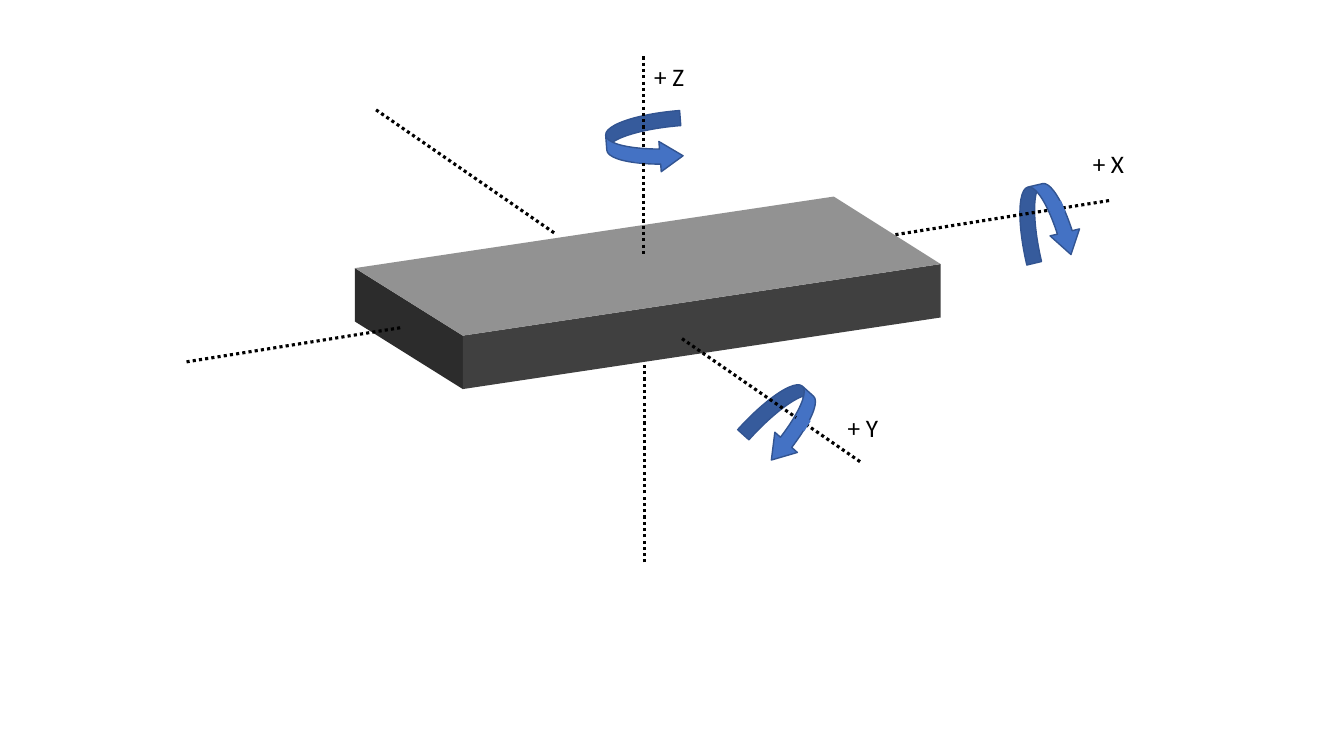
from dataclasses import dataclass
from lxml import etree
from pptx import Presentation
from pptx.dml.color import RGBColor
from pptx.enum import dml, shapes, text
from pptx.oxml import ns
from pptx.util import Inches, Pt


@dataclass(frozen=True)
class Theme:
    font: str = "Calibri"
    label_size: float = 18
    axis_width: float = 2.25
    ink: str = "000000"
    arrow: str = "4472C4"
    arrow_edge: str = "325491"
    top_face: str = "929292"
    front_face: str = "404040"
    side_face: str = "2C2C2C"


@dataclass(frozen=True)
class Axis:
    label: str
    arm: tuple       # vector of each dotted arm
    positive: tuple  # inner end of the positive arm
    negative: tuple  # inner end of the negative arm
    label_at: tuple
    arrow_at: tuple
    arrow_turn: float
    mask_at: tuple
    mask_turn: float
    flipped: bool = False


THEME = Theme()
ARROW_SIZE = (0.6, 0.75)
MASK_SIZE = (0.14, 0.12)
LABEL_SIZE = (0.6, 0.4)
SLAB_HEIGHT = 0.53
DIAGRAM_BOX = (1.85, 0.56)  # left and top of the diagram

AXES = [
    Axis("+ X", (2.13, -0.34), (7.02, 1.77), (2.13, 2.69), (8.89, 0.86),
         (8.24, 1.26), 346.7, (8.56, 1.45), 337.6),
    Axis("+ Y", (1.78, 1.23), (4.9, 2.79), (3.66, 1.76), (6.46, 3.48),
         (5.64, 3.25), 42, (6.03, 3.57), 32.3),
    Axis("+ Z", (0, -1.99), (4.53, 1.99), (4.54, 3.03), (4.54, 0),
         (4.24, 0.49), 85.6, (4.45, 0.93), 0, flipped=True),
]


def shifted(point, offset, sign=1):
    return tuple(p + sign * o for p, o in zip(point, offset))


def lengths(*values):
    return [Inches(value) for value in values]


def paint(shape, fill, edge=None):
    shape.shadow.inherit = False
    shape.fill.solid()
    shape.fill.fore_color.rgb = RGBColor.from_string(fill)
    if edge:
        shape.line.color.rgb = RGBColor.from_string(edge)
        shape.line.width = Pt(1)
    else:
        shape.line.fill.background()


def draw_slab(slide, box):
    """Draw the three visible faces of the slab."""
    left, back, right, front = [
        shifted(box, corner)
        for corner in [(1.67, 2.1), (6.42, 1.39), (7.48, 2.06), (2.74, 2.77)]]
    low_left, low_front, low_right = [
        shifted(corner, (0, SLAB_HEIGHT)) for corner in (left, front, right)]
    faces = [
        (THEME.side_face, [left, front, low_front, low_left]),
        (THEME.front_face, [front, right, low_right, low_front]),
        (THEME.top_face, [left, back, right, front]),
    ]
    for color, corners in faces:
        outline = [lengths(*corner) for corner in corners]
        builder = slide.shapes.build_freeform(*outline[0])
        builder.add_line_segments(outline[1:])
        paint(builder.convert_to_shape(), color)


def draw_arm(slide, inner, outer):
    arm = slide.shapes.add_connector(
        shapes.MSO_CONNECTOR.STRAIGHT, *lengths(*outer, *inner))
    arm.line.color.rgb = RGBColor.from_string(THEME.ink)
    line_format = {"width": Pt(THEME.axis_width),
                   "dash_style": dml.MSO_LINE.ROUND_DOT}
    for name, value in line_format.items():
        setattr(arm.line, name, value)
    etree.SubElement(arm._element.spPr, ns.qn("a:effectLst"))


def draw_label(slide, wording, at):
    label = slide.shapes.add_textbox(*lengths(*at, *LABEL_SIZE))
    frame = label.text_frame
    frame.word_wrap = True
    frame.auto_size = text.MSO_AUTO_SIZE.SHAPE_TO_FIT_TEXT
    run = frame.paragraphs[0].add_run()
    run.text = wording
    for name, value in {"name": THEME.font, "size": Pt(THEME.label_size)}.items():
        setattr(run.font, name, value)
    run.font.color.rgb = RGBColor.from_string(THEME.ink)


def draw_axis(slide, box, axis):
    """Draw one axis with its rotation arrow and label."""
    # Rotation arrow
    arrow = slide.shapes.add_shape(
        shapes.MSO_SHAPE.CURVED_DOWN_ARROW,
        *lengths(*shifted(box, axis.arrow_at), *ARROW_SIZE))
    for index, value in enumerate((0.25, 0.5, 0.38)):
        arrow.adjustments[index] = value
    arrow.rotation = axis.arrow_turn
    if axis.flipped:
        arrow._element.spPr.get_or_add_xfrm().set("flipV", "1")
    paint(arrow, THEME.arrow, THEME.arrow_edge)

    # Dotted arms on both sides of the slab
    for start, sign in ((axis.positive, 1), (axis.negative, -1)):
        inner = shifted(box, start)
        draw_arm(slide, inner, shifted(inner, axis.arm, sign))

    # Mask that hides the axis behind the front of the arrow
    mask = slide.shapes.add_shape(
        shapes.MSO_SHAPE.RECTANGLE,
        *lengths(*shifted(box, axis.mask_at), *MASK_SIZE))
    mask.rotation = axis.mask_turn
    paint(mask, THEME.arrow)

    draw_label(slide, axis.label, shifted(box, axis.label_at))


def main():
    deck = Presentation()
    deck.slide_width, deck.slide_height = lengths(13.33, 7.5)
    slide = deck.slides.add_slide(deck.slide_layouts[6])
    draw_slab(slide, DIAGRAM_BOX)
    for axis in AXES:
        draw_axis(slide, DIAGRAM_BOX, axis)
    deck.save("out.pptx")


if __name__ == "__main__":
    main()
